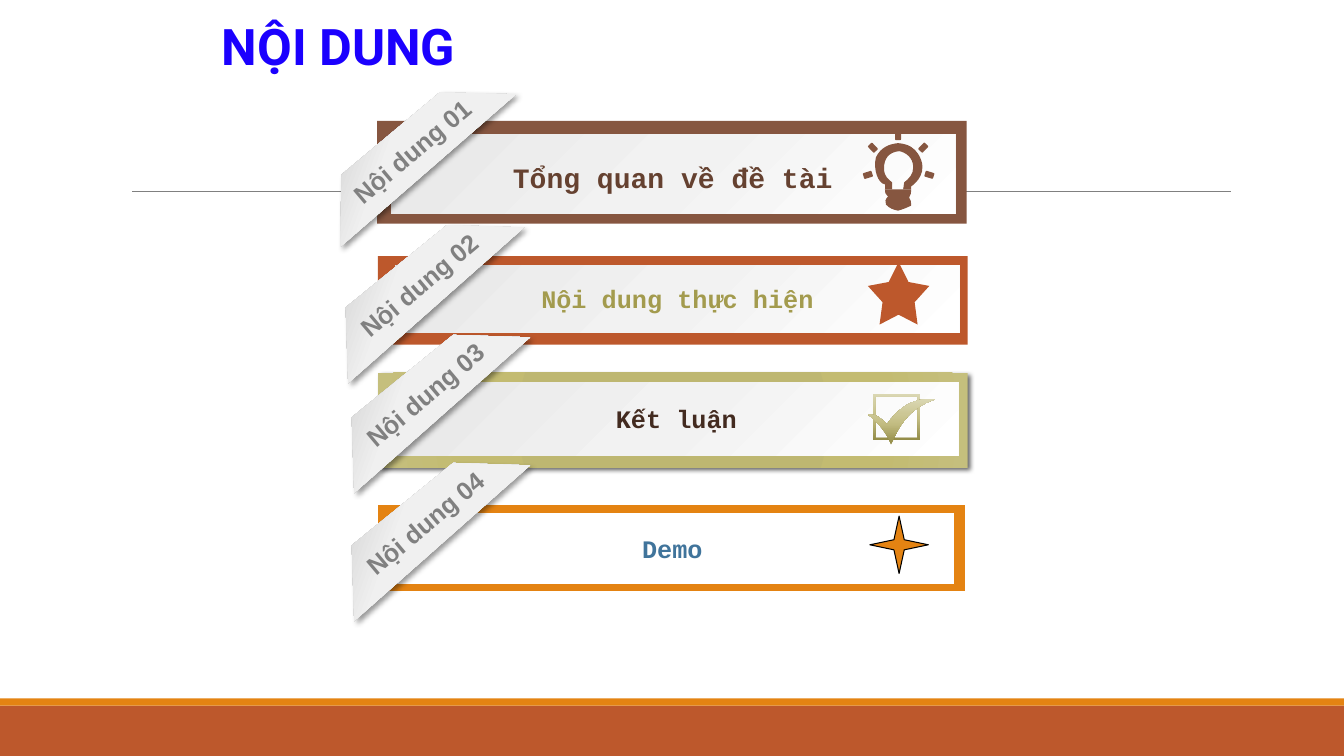
import math
from dataclasses import dataclass

import pptx
import pptx.dml.color
import pptx.enum.shapes
import pptx.enum.text
import pptx.oxml
import pptx.oxml.ns
import pptx.util
from pptx.oxml.ns import qn
from pptx.util import Inches

SHAPES = pptx.enum.shapes.MSO_SHAPE
NS = pptx.oxml.ns.nsdecls("a")
SLIDE_WIDTH, SLIDE_HEIGHT = 40 / 3, 7.5


@dataclass(frozen=True)
class Theme:
    blue: str = "1B00FE"
    brown: str = "865640"
    rust: str = "BD582C"
    orange: str = "E48312"
    white: str = "FFFFFF"
    black: str = "000000"
    gray: str = "808080"
    panel: tuple = ((0, "E7E7E7"), (50, "F2F2F2"), (100, "FFFFFF"))
    olive: tuple = ((0, "BEB76E"), (34, "BEB771"), (70, "C3BB71"), (100, "C5BF7D"))
    check: tuple = ((0, "928B46"), (48, "C4BE84"), (100, "DAD7B3"))
    ribbon: tuple = ((0, "B9B9B9"), (42, "F0F0F0"), (84, "F2F2F2"))
    title_size: int = 36
    lead_size: int = 20
    body_size: int = 18


THEME = Theme()

# Ribbon corners, measured from the ribbon centre
RIBBON_ANGLE = 319.9
FIRST_RIBBON = ((-0.72, 0.95), (-0.7, 0.24), (0.28, -0.58), (1.03, -0.57))
RIBBON = ((-0.7, 0.98), (-0.73, 0.22), (0.28, -0.6), (1.05, -0.57))

# Icon outlines: a pair is a corner, six numbers are a curve
BULB_GLASS = (
    (0.2, 0.58), (0.2, 0.56, 0.2, 0.55, 0.2, 0.53), (0.13, 0.52, 0.08, 0.38, 0.11, 0.26),
    (0.16, 0.16, 0.24, 0.13, 0.33, 0.12), (0.44, 0.13, 0.49, 0.17, 0.53, 0.23),
    (0.64, 0.41, 0.5, 0.52, 0.46, 0.55), (0.46, 0.58), (0.38, 0.58), (0.39, 0.51),
    (0.44, 0.47, 0.48, 0.43, 0.48, 0.36), (0.48, 0.26, 0.4, 0.21, 0.34, 0.2),
    (0.24, 0.21, 0.19, 0.27, 0.19, 0.37), (0.19, 0.46, 0.24, 0.48, 0.27, 0.51), (0.27, 0.58))
BULB_BASE = (
    (0.2, 0.58), (0.46, 0.58), (0.47, 0.61, 0.45, 0.63, 0.44, 0.66),
    (0.45, 0.68, 0.47, 0.71, 0.46, 0.74), (0.42, 0.76, 0.37, 0.78, 0.33, 0.79),
    (0.28, 0.78, 0.25, 0.77, 0.21, 0.73), (0.2, 0.7, 0.2, 0.68, 0.23, 0.65),
    (0.21, 0.63, 0.2, 0.62, 0.2, 0.58))
BULB_RAYS = ((0.3, 0, 0), (0.55, 0.12, 43.7), (0.61, 0.39, 107),
             (0.05, 0.12, 316.3), (0, 0.39, 253))
TICK = (
    (0.19, 0.3), (0.14, 0.25, 0.1, 0.2, 0, 0.2), (0.1, 0.28, 0.19, 0.38, 0.23, 0.5),
    (0.31, 0.32, 0.4, 0.14, 0.67, 0.05), (0.45, 0.03, 0.3, 0.14, 0.19, 0.3))


def rgb(value):
    return pptx.dml.color.RGBColor.from_string(value)


def paint(shape, fill, angle=45, line=None, width=1):
    """Fill with a colour or gradient stops (circular if angle is None); set the outline."""
    shape.shadow.inherit = False
    if isinstance(fill, str):
        shape.fill.solid()
        shape.fill.fore_color.rgb = rgb(fill)
    else:
        shape.fill.gradient()
        gradient = shape.element.spPr.find(qn("a:gradFill"))
        stops = gradient.find(qn("a:gsLst"))
        for stop in list(stops):
            stops.remove(stop)
        for position, color in fill:
            stops.append(pptx.oxml.parse_xml(
                f'<a:gs {NS} pos="{position * 1000}"><a:srgbClr val="{color}"/></a:gs>'))
        if angle is None:
            gradient.replace(gradient.find(qn("a:lin")), pptx.oxml.parse_xml(
                f'<a:path {NS} path="circle"><a:fillToRect l="100000" t="100000" '
                f'r="100000" b="100000"/></a:path>'))
        else:
            shape.fill.gradient_angle = 360 - angle
    if line:
        shape.line.color.rgb = rgb(line)
        shape.line.width = pptx.util.Pt(width)
    else:
        shape.line.fill.background()
    return shape


def cast_shadow(shape, alpha, blur, distance):
    effects = shape.element.spPr.find(qn("a:effectLst"))
    effects.append(pptx.oxml.parse_xml(
        f'<a:outerShdw {NS} blurRad="{pptx.util.Pt(blur)}" dist="{pptx.util.Pt(distance)}" '
        f'dir="2700000" algn="tl" rotWithShape="0"><a:srgbClr val="{THEME.black}">'
        f'<a:alpha val="{alpha * 1000}"/></a:srgbClr></a:outerShdw>'))


def write(shape, text, *, size=THEME.body_size, font="Courier New", color=THEME.gray, wrap=True):
    frame = shape.text_frame
    frame.word_wrap = wrap
    frame.vertical_anchor = pptx.enum.text.MSO_ANCHOR.MIDDLE
    paragraph = frame.paragraphs[0]
    paragraph.alignment = pptx.enum.text.PP_ALIGN.CENTER
    run = paragraph.add_run()
    run.text = text
    run.font.size = pptx.util.Pt(size)
    run.font.name = font
    run.font.bold = True
    run.font.color.rgb = rgb(color)


def add_preset(slide, kind, box, fill, **style):
    return paint(slide.shapes.add_shape(kind, *map(Inches, box)), fill, **style)


def add_outline(slide, segments, left, top, fill, **style):
    """Draw a closed outline of corners and cubic curves."""
    ends = [(Inches(left + s[-2]), Inches(top + s[-1])) for s in segments]
    builder = slide.shapes.build_freeform(*ends[0], scale=1.0)
    builder.add_line_segments(ends[1:], close=True)
    outline = builder.convert_to_shape()
    sides = list(outline.element.spPr.iter(qn("a:lnTo")))
    for side, segment in zip(sides, segments[1:]):
        if len(segment) == 6:
            points = "".join(
                f'<a:pt x="{Inches(left + x) - outline.left}" y="{Inches(top + y) - outline.top}"/>'
                for x, y in zip(segment[::2], segment[1::2]))
            side.getparent().replace(side, pptx.oxml.parse_xml(
                f"<a:cubicBezTo {NS}>{points}</a:cubicBezTo>"))
    return paint(outline, fill, **style)


def add_backdrop(slide):
    add_preset(slide, SHAPES.RECTANGLE, (0, SLIDE_HEIGHT - 0.5, SLIDE_WIDTH, 0.5), THEME.rust)
    add_preset(slide, SHAPES.RECTANGLE, (0, SLIDE_HEIGHT - 0.57, SLIDE_WIDTH, 0.07), THEME.orange)
    rule = slide.shapes.add_connector(pptx.enum.shapes.MSO_CONNECTOR.STRAIGHT,
                                      Inches(1.31), Inches(1.9), Inches(12.21), Inches(1.9))
    rule.line.color.rgb = rgb(THEME.gray)
    rule.line.width = pptx.util.Pt(0.5)
    rule.element.spPr.append(pptx.oxml.parse_xml(f"<a:effectLst {NS}/>"))


def add_title(slide, box, text):
    title = slide.shapes.title
    title.left, title.top, title.width, title.height = map(Inches, box)
    write(title, text, size=THEME.title_size, font="Roboto", color=THEME.blue, wrap=False)


def add_banner(slide, band_box, panel_box, band_fill, panel_fill=THEME.panel,
               band_angle=45, band_line=None, panel_line=None):
    """Draw a coloured band with its inner panel; return both."""
    band = add_preset(slide, SHAPES.RECTANGLE, band_box, band_fill,
                      angle=band_angle, line=band_line, width=2)
    panel = add_preset(slide, SHAPES.RECTANGLE, panel_box, panel_fill,
                       line=panel_line, width=1.25)
    return band, panel


def add_ribbon(slide, box, corners, label):
    left, top, width, height = box
    turn = math.radians(360 - RIBBON_ANGLE)
    cos, sin = math.cos(turn), math.sin(turn)
    level = [(x * cos - y * sin, x * sin + y * cos) for x, y in corners]
    ribbon = add_outline(slide, level, left + width / 2, top + height / 2,
                         THEME.ribbon, angle=60)
    ribbon.left, ribbon.top, ribbon.width, ribbon.height = map(Inches, box)
    ribbon.rotation = RIBBON_ANGLE
    cast_shadow(ribbon, 40, 4, 3)
    write(ribbon, label, font="Arial")


def add_bulb(slide, left, top):
    for part in (BULB_GLASS, BULB_BASE):
        add_outline(slide, part, left, top, THEME.brown)
    for x, y, angle in BULB_RAYS:
        ray = add_preset(slide, SHAPES.ROUNDED_RECTANGLE, (left + x, top + y, 0.06, 0.09),
                         THEME.brown)
        ray.rotation = angle


def add_checkbox(slide, left, top):
    square = add_preset(slide, SHAPES.FRAME, (left + 0.05, top, 0.47, 0.46),
                        THEME.check, angle=270)
    square.adjustments[0] = 0.056
    add_outline(slide, TICK, left, top, THEME.check, angle=270)


def main():
    deck = pptx.Presentation()
    deck.slide_width, deck.slide_height = Inches(SLIDE_WIDTH), Inches(SLIDE_HEIGHT)
    slide = deck.slides.add_slide(deck.slide_layouts[5])
    add_backdrop(slide)
    add_title(slide, (1.8, 0.1, 3.12, 0.71), "NỘI DUNG")

    # Overview
    add_banner(slide, (3.74, 1.2, 5.85, 1.02), (3.88, 1.33, 5.6, 0.79), THEME.brown)
    add_bulb(slide, 8.58, 1.3)
    overview = slide.shapes.add_textbox(*map(Inches, (4.92, 1.54, 3.51, 0.44)))
    write(overview, "Tổng quan về đề tài", size=THEME.lead_size, color="654130")

    # Work done
    _, work = add_banner(slide, (3.75, 2.54, 5.85, 0.88), (3.92, 2.63, 5.6, 0.67), THEME.rust)
    write(work, "Nội dung thực hiện", color="A39B4E")
    star = add_preset(slide, SHAPES.STAR_5_POINT, (8.61, 2.6, 0.61, 0.62), THEME.rust)
    star.adjustments[0] = 0.261

    # Conclusion
    band, conclusion = add_banner(slide, (3.75, 3.7, 5.85, 0.94), (3.91, 3.79, 5.6, 0.73),
                                  THEME.olive, band_angle=None)
    cast_shadow(band, 60, 3.5, 2)
    write(conclusion, "Kết luận", color="432B20")
    add_checkbox(slide, 8.61, 3.91)

    # Demo
    _, demo = add_banner(slide, (3.74, 5, 5.85, 0.88), (3.87, 5.08, 5.6, 0.72), THEME.orange,
                         THEME.white, band_line=THEME.white, panel_line=THEME.orange)
    write(demo, "Demo", color="40749B")
    add_preset(slide, SHAPES.STAR_4_POINT, (8.63, 5.12, 0.58, 0.57), THEME.orange,
               line=THEME.black, width=0.75)

    # Numbered ribbons
    add_ribbon(slide, (2.93, 1.23, 2.31, 0.54), FIRST_RIBBON, "Nội dung 01")
    for number, (left, top) in enumerate(((2.99, 2.53), (3.05, 3.62), (3.05, 4.89)), 2):
        add_ribbon(slide, (left, top, 2.33, 0.59), RIBBON, f"Nội dung {number:02d}")

    deck.save("out.pptx")


if __name__ == "__main__":
    main()
